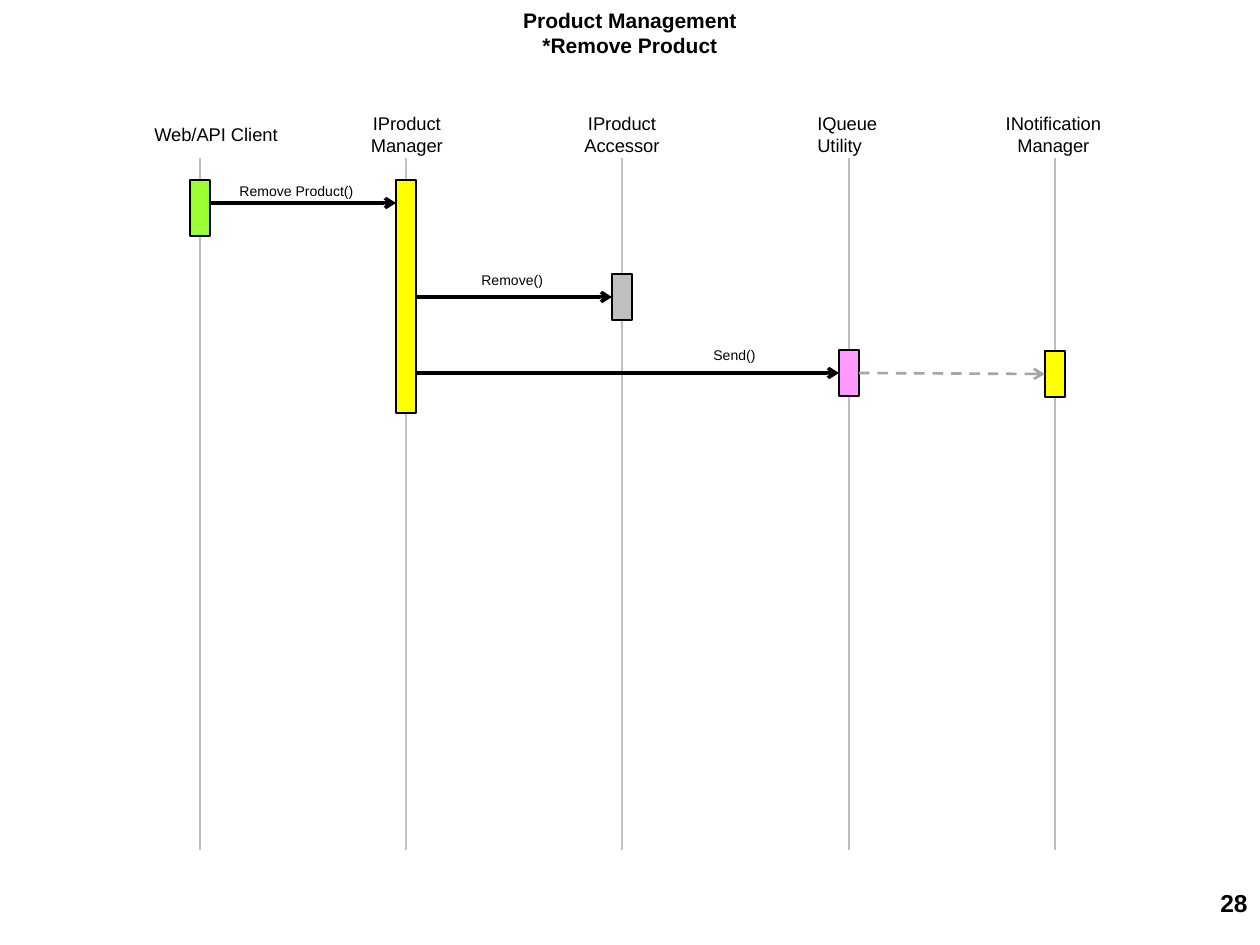
from dataclasses import dataclass

from lxml import etree
from pptx import Presentation
from pptx.dml.color import RGBColor
from pptx.enum.dml import MSO_LINE
from pptx.enum.shapes import MSO_CONNECTOR, MSO_SHAPE
from pptx.enum.text import MSO_ANCHOR, PP_ALIGN
from pptx.oxml.ns import qn
from pptx.util import Pt

RECT = MSO_SHAPE.RECTANGLE
LINE = MSO_CONNECTOR.STRAIGHT
DASH = MSO_LINE.DASH
TOP = MSO_ANCHOR.TOP
LEFT, CENTER, RIGHT = PP_ALIGN.LEFT, PP_ALIGN.CENTER, PP_ALIGN.RIGHT
UNIT = 914400 // 126


@dataclass
class Theme:
    font: str = "Arial"
    ink: str = "000000"
    paper: str = "FFFFFF"
    rail: str = "BFBFBF"
    faint: str = "A6A6A6"
    green: str = "99FF33"
    yellow: str = "FFFF00"
    pink: str = "FF99FF"
    page: float = 14
    title: float = 12
    head: float = 10.5
    label: float = 8


class Diagram:
    """Draws sequence diagram parts on one slide, measured in pixels."""

    def __init__(self, slide, theme):
        self.shapes = slide.shapes
        self.theme = theme

    def letter(self, shape, text, size, align, bold=False, wrap=False):
        frame = shape.text_frame
        frame.text = text
        frame.word_wrap = wrap
        frame.vertical_anchor = TOP
        for para in frame.paragraphs:
            para.alignment = align
            for run in para.runs:
                font = run.font
                font.name, font.size, font.bold = self.theme.font, Pt(size), bold
                font.color.rgb = RGBColor.from_string(self.theme.ink)

    def text(self, box, text, size, align=CENTER, bold=False, wrap=False):
        shape = self.shapes.add_textbox(*(n * UNIT for n in box))
        self.letter(shape, text, size, align, bold, wrap)

    def rect(self, box, color):
        shape = self.shapes.add_shape(RECT, *(n * UNIT for n in box))
        shape.shadow.inherit = False
        shape.fill.solid()
        shape.fill.fore_color.rgb = RGBColor.from_string(color)
        return shape

    def bar(self, mid, top, height, color):
        shape = self.rect((mid - 10, top, 20, height), color)
        shape.line.color.rgb = RGBColor.from_string(self.theme.ink)
        shape.line.width = Pt(1)

    def label(self, box, text):
        shape = self.rect(box, self.theme.paper)
        shape.line.fill.background()
        tint = shape._element.spPr.find(".//" + qn("a:srgbClr"))
        etree.SubElement(tint, qn("a:alpha"), val="90000")
        self.letter(shape, text, self.theme.label, LEFT)

    def line(self, start, end, color, width):
        link = self.shapes.add_connector(LINE, *(n * UNIT for n in start + end))
        link.line.color.rgb = RGBColor.from_string(color)
        link.line.width = Pt(width)
        etree.SubElement(link._element.spPr, qn("a:effectLst"))
        return link

    def arrow(self, start, end, color, width, dash=None):
        link = self.line(start, end, color, width)
        if dash:
            link.line.dash_style = dash
        edge = link._element.spPr.find(qn("a:ln"))
        etree.SubElement(edge, qn("a:tailEnd"), type="arrow")


deck = Presentation()
deck.slide_width, deck.slide_height = 1260 * UNIT, 945 * UNIT
theme = Theme()
art = Diagram(deck.slides.add_slide(deck.slide_layouts[6]), theme)

art.text((998, 882, 262, 63), "28", theme.page, RIGHT, True, True)
art.text((510, 1, 240, 89), "Product Management\n*Remove Product", theme.title, bold=True)

client, manager, access, queue, notice = 200, 406, 622, 849, 1055
parties = [
    (client, (142, 117, 151, 35), "Web/API Client", LEFT, 180, 56, theme.green),
    (manager, (356, 106, 102, 59), "IProduct\nManager", CENTER, 180, 233, theme.yellow),
    (access, (569, 106, 106, 59), "IProduct\nAccessor", CENTER, 274, 46, theme.rail),
    (queue, (805, 106, 87, 57), "IQueue\nUtility", LEFT, 350, 46, theme.pink),
    (notice, (990, 106, 127, 59), "INotification\nManager", CENTER, 351, 46, theme.yellow),
]
for mid, box, name, align, top, height, color in parties:
    art.line((mid, 158), (mid, 850), theme.rail, 1.5)
    art.bar(mid, top, height, color)
    art.text(box, name, theme.head, align)

calls = [
    (client, manager, 203, (227, 176, 144, 30), "Remove Product()"),
    (manager, access, 297, (469, 265, 91, 30), "Remove()"),
    (manager, queue, 373, (701, 340, 68, 30), "Send()"),
]
for first, last, y, box, name in calls:
    art.label(box, name)
    art.arrow((first + 10, y), (last - 10, y), theme.ink, 2)
art.arrow((queue + 10, 373), (notice - 10, 374), theme.faint, 1.5, DASH)

deck.save("out.pptx")
